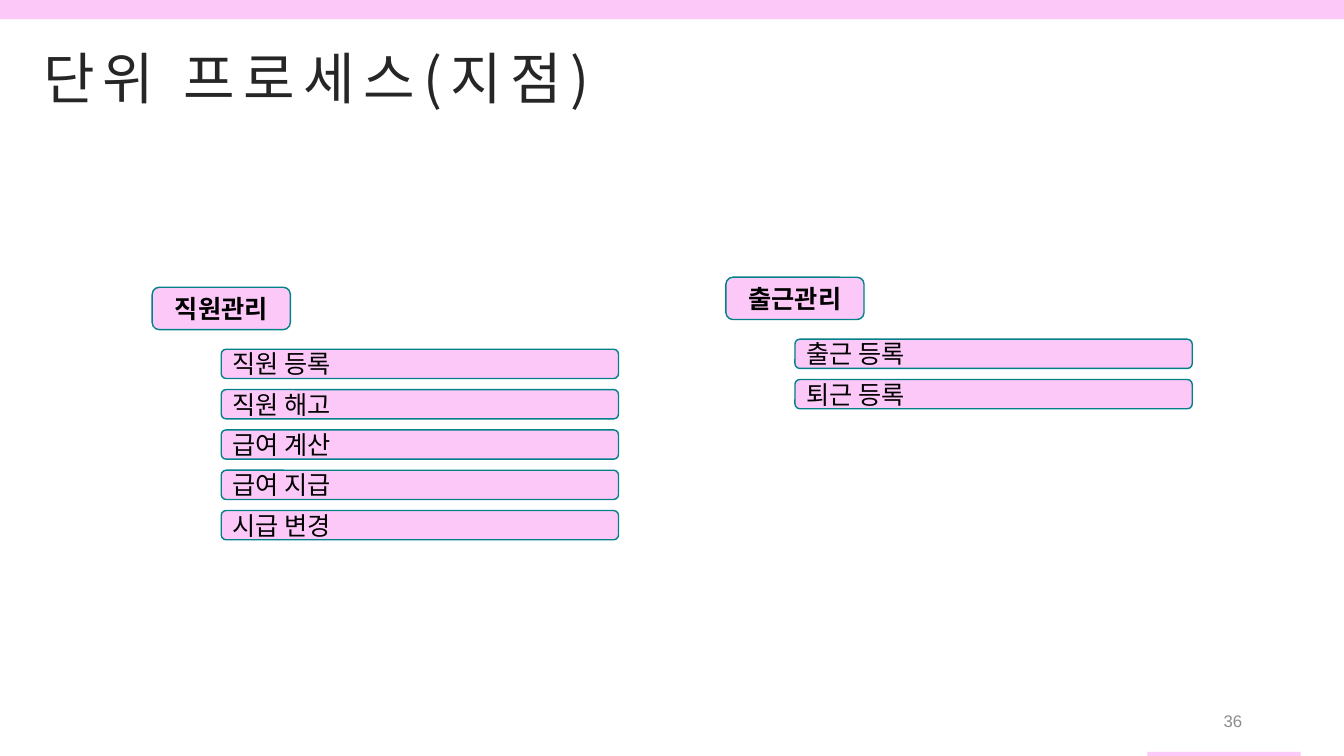
from pptx import Presentation
from pptx.dml.color import RGBColor
from pptx.enum import shapes, text
from pptx.oxml import ns
from pptx.util import Inches, Pt
from lxml import etree

# Content
TITLE = "단위 프로세스(지점)"
PAGE_NUMBER = "36"
GROUPS = [
    {"name": "직원관리", "at": (1.51, 2.85),
     "steps": ["직원 등록", "직원 해고", "급여 계산", "급여 지급", "시급 변경"]},
    {"name": "출근관리", "at": (7.2, 2.75), "steps": ["출근 등록", "퇴근 등록"]},
]
BARS = [(0, 0, 13.33, 0.19), (11.38, 7.46, 1.52, 0.05)]

# Theme and layout measures
THEME = {
    "pink": "FCC8F8", "teal": "028189", "black": "000000", "title": "262626",
    "grey": "8C8C8C", "font": "Arial", "korean": "Noto Sans CJK KR",
    "title_size": 40, "body_size": 18, "number_size": 12,
}
HEAD_SIZE = (1.37, 0.42)
STEP_SIZE = (3.94, 0.29)
STEP_OFFSET = (0.685, 0.615)
STEP_PITCH = 0.4


def color(name):
    return RGBColor.from_string(THEME[name])


def write(shape, words, size, ink="black", font="font", bold=False,
          align="LEFT", anchor="MIDDLE", wrap=True, spacing=None):
    frame = shape.text_frame
    frame.word_wrap = wrap
    frame.vertical_anchor = getattr(text.MSO_ANCHOR, anchor)
    para = frame.paragraphs[0]
    para.alignment = getattr(text.PP_ALIGN, align)
    span = para.add_run()
    span.text = words
    span.font.size = Pt(THEME[size])
    span.font.bold = bold
    span.font.name = THEME[font]
    span.font.color.rgb = color(ink)
    props = span.font._element
    latin = props.find(ns.qn("a:latin"))
    korean = etree.Element(ns.qn("a:ea"), typeface=THEME["korean"])
    latin.addnext(korean)
    if spacing:
        props.set("spc", str(spacing * 100))


def add_block(page, kind, area, outline=None):
    block = page.shapes.add_shape(kind, *map(Inches, area))
    block.shadow.inherit = False
    block.fill.solid()
    block.fill.fore_color.rgb = color("pink")
    if outline:
        block.line.color.rgb = color(outline)
        block.line.width = Pt(1)
    else:
        block.line.fill.background()
    return block


def add_group(page, group):
    rounded = shapes.MSO_SHAPE.FLOWCHART_ALTERNATE_PROCESS
    left, top = group["at"]
    head = add_block(page, rounded, (left, top, *HEAD_SIZE), "teal")
    write(head, group["name"], "body_size", bold=True, align="CENTER")
    for row, step in enumerate(group["steps"]):
        place = (left + STEP_OFFSET[0], top + STEP_OFFSET[1] + row * STEP_PITCH)
        write(add_block(page, rounded, (*place, *STEP_SIZE), "teal"), step, "body_size")


def main():
    deck = Presentation()
    deck.slide_width, deck.slide_height = Inches(13.33), Inches(7.5)
    page = deck.slides.add_slide(deck.slide_layouts[6])

    # Edge bars
    for area in BARS:
        add_block(page, shapes.MSO_SHAPE.RECTANGLE, area)

    # Title
    box = page.shapes.add_textbox(*map(Inches, (0.33, 0.38, 6.16, 0.77)))
    write(box, TITLE, "title_size", ink="title", font="korean",
          anchor="TOP", wrap=False, spacing=6)
    box.text_frame.auto_size = text.MSO_AUTO_SIZE.SHAPE_TO_FIT_TEXT

    # Process groups
    for group in GROUPS:
        add_group(page, group)

    # Page number
    box = page.shapes.add_textbox(*map(Inches, (9.42, 6.95, 3, 0.4)))
    write(box, PAGE_NUMBER, "number_size", ink="grey", align="RIGHT")

    deck.save("out.pptx")


if __name__ == "__main__":
    main()
